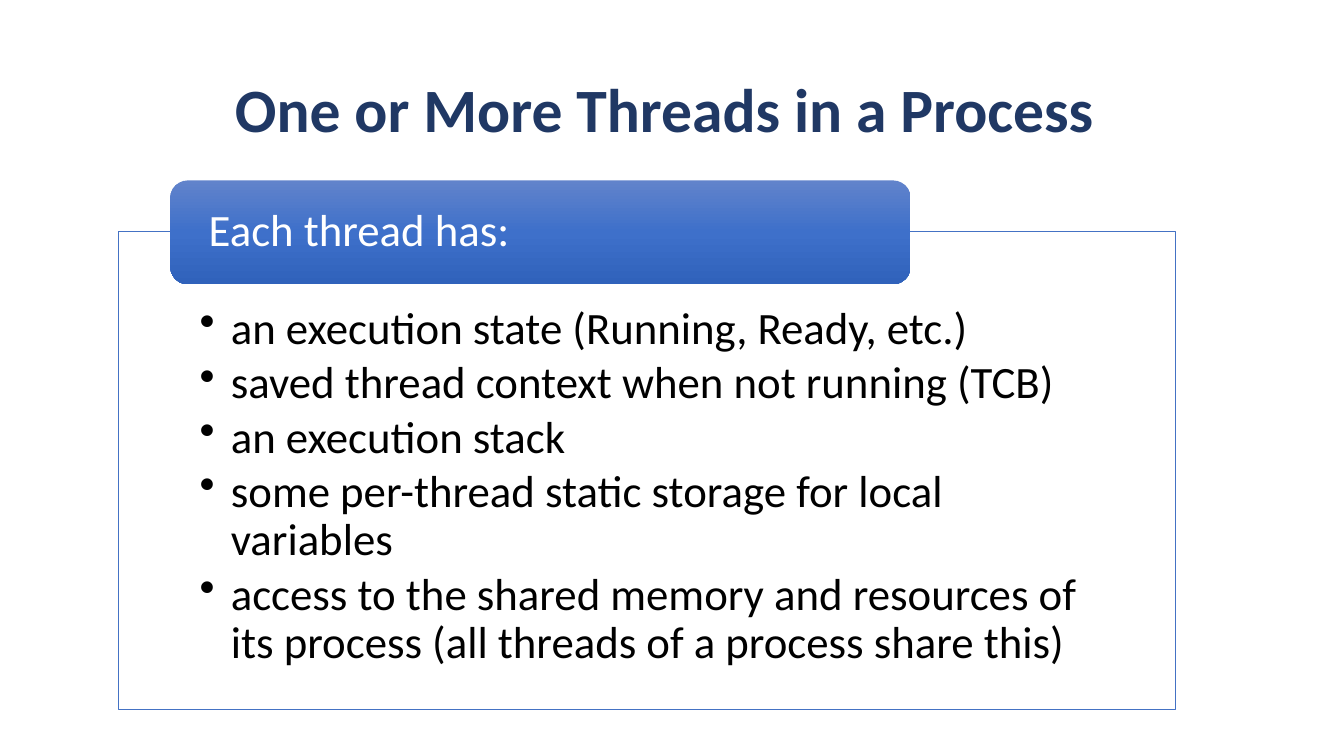
"""Build the slide on what each thread in a process has."""
from copy import deepcopy
from dataclasses import dataclass

from lxml import etree
from pptx import Presentation
from pptx.dml import color as c
from pptx.enum import shapes, text
from pptx.oxml import ns
from pptx import util as u

PX = 9144
FONT = "Calibri"
COLORS = {
    "title": "203864",
    "body": "000000",
    "white": "FFFFFF",
    "frame": "4472C4",
    "header_top": "6183CB",
    "header_middle": "3E70CA",
    "header_bottom": "3062BB",
}
BULLETS = [
    "an execution state (Running, Ready, etc.)",
    "saved thread context when not running (TCB)",
    "an execution stack",
    "some per-thread static storage for local variables",
    "access to the shared memory and resources of its process "
    "(all threads of a process share this)",
]


@dataclass(frozen=True)
class Panel:
    kind: shapes.MSO_SHAPE
    box: tuple[int, int, int, int]
    insets: tuple[int, int, int, int]
    anchor: text.MSO_ANCHOR
    lines: list[str]
    color: str


FRAME = Panel(shapes.MSO_SHAPE.RECTANGLE, (117, 230, 1049, 474),
              (81, 73, 81, 25), text.MSO_ANCHOR.TOP, BULLETS, "body")
HEADER = Panel(shapes.MSO_SHAPE.ROUNDED_RECTANGLE, (169, 179, 734, 103),
               (33, 0, 33, 0), text.MSO_ANCHOR.MIDDLE, ["Each thread has:"], "white")


def px(value: int) -> u.Emu:
    return u.Emu(value * PX)


def rgb(name: str) -> c.RGBColor:
    return c.RGBColor.from_string(COLORS[name])


def format_paragraph(paragraph, size: int, color: str, bold: bool = False) -> None:
    paragraph.alignment = text.PP_ALIGN.LEFT
    paragraph.line_spacing = 0.9
    for run in paragraph.runs:
        run.font.name = FONT
        run.font.size = u.Pt(size)
        run.font.bold = bold
        run.font.color.rgb = rgb(color)


def add_bullet(paragraph) -> None:
    properties = paragraph._p.get_or_add_pPr()
    properties.set("marL", str(px(31)))
    properties.set("indent", str(px(-31)))
    etree.SubElement(properties, ns.qn("a:buChar")).set("char", "•")
    paragraph.level = 1
    paragraph.space_after = u.Pt(4.3)


def add_panel(slide, panel: Panel):
    shape = slide.shapes.add_shape(panel.kind, *map(px, panel.box))
    shape.shadow.inherit = False
    frame = shape.text_frame
    frame.word_wrap = True
    frame.vertical_anchor = panel.anchor
    (frame.margin_left, frame.margin_top,
     frame.margin_right, frame.margin_bottom) = map(px, panel.insets)
    frame.text = "\n".join(panel.lines)
    for paragraph in frame.paragraphs:
        format_paragraph(paragraph, 32, panel.color)
    return shape


def add_frame(slide) -> None:
    shape = add_panel(slide, FRAME)
    shape.fill.solid()
    shape.fill.fore_color.rgb = rgb("white")
    fill_color = shape._element.spPr.find(ns.qn("a:solidFill"))[0]
    etree.SubElement(fill_color, ns.qn("a:alpha")).set("val", "90000")
    shape.line.color.rgb = rgb("frame")
    shape.line.width = u.Pt(0.5)
    for paragraph in shape.text_frame.paragraphs:
        add_bullet(paragraph)


def add_header(slide) -> None:
    shape = add_panel(slide, HEADER)
    shape.line.fill.background()
    shape.fill.gradient()
    shape.fill.gradient_angle = 270
    stop_list = shape._element.spPr.find(f".//{ns.qn('a:gsLst')}")
    stop_list.insert(1, deepcopy(stop_list[0]))
    names = ("header_top", "header_middle", "header_bottom")
    for index, (stop, name) in enumerate(zip(shape.fill.gradient_stops, names)):
        stop.position = index / 2
        stop.color.rgb = rgb(name)


def add_title(slide) -> None:
    title = slide.shapes.title
    title.left, title.top, title.width, title.height = map(px, (223, 58, 957, 108))
    title.text_frame.text = "One or More Threads in a Process"
    title.text_frame.word_wrap = True
    title.text_frame.vertical_anchor = text.MSO_ANCHOR.MIDDLE
    format_paragraph(title.text_frame.paragraphs[0], 44, "title", bold=True)


def main() -> None:
    presentation = Presentation()
    presentation.slide_width, presentation.slide_height = px(1333), px(750)
    slide = presentation.slides.add_slide(presentation.slide_layouts[5])
    add_title(slide)
    add_frame(slide)
    add_header(slide)
    presentation.save("out.pptx")


if __name__ == "__main__":
    main()
